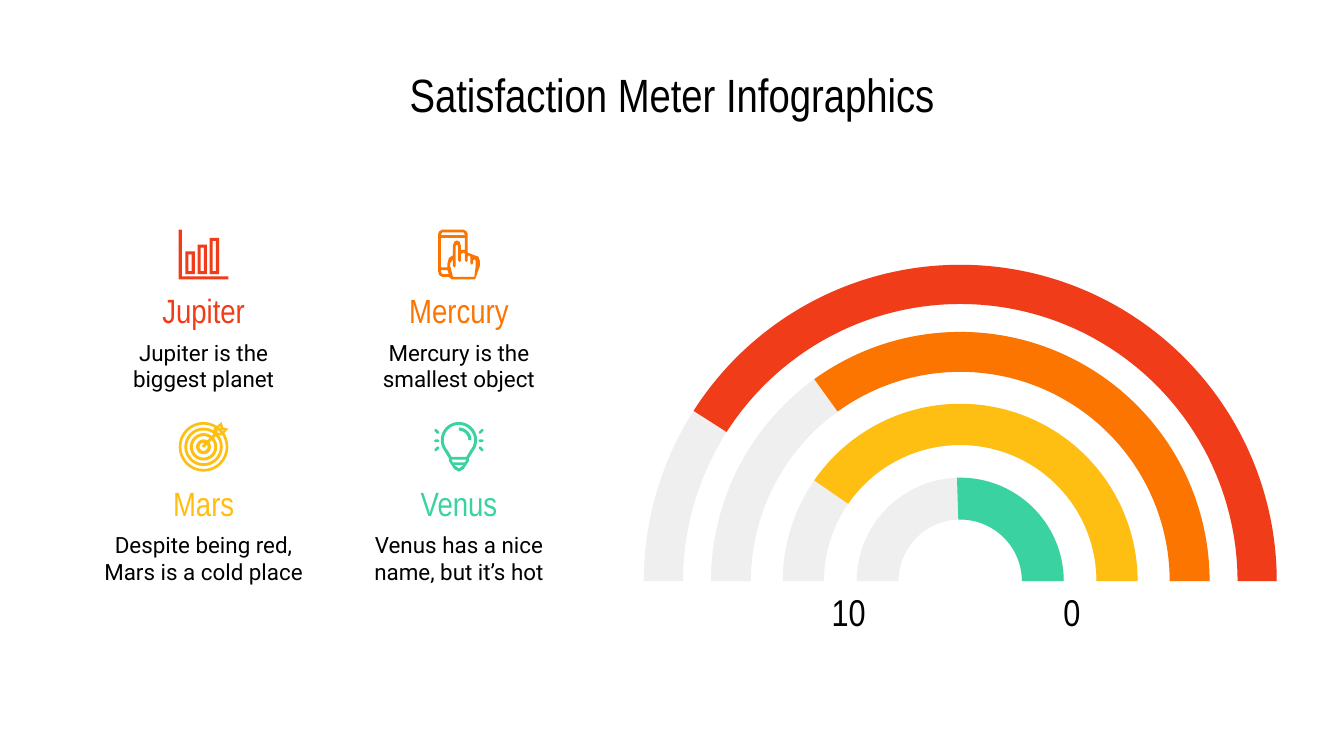
from dataclasses import dataclass
from math import cos, hypot, radians, sin

from pptx import Presentation
from pptx.dml.color import RGBColor
from pptx.enum.shapes import MSO_SHAPE
from pptx.enum.text import MSO_ANCHOR, PP_ALIGN
from pptx.util import Inches, Pt


@dataclass(frozen=True)
class Theme:
    black: str = "000000"
    track: str = "EFEFEF"
    red: str = "F13C19"
    orange: str = "FC7500"
    yellow: str = "FFBE12"
    green: str = "39D2A0"
    heading_font: str = "Arial Narrow"
    body_font: str = "Roboto"
    title_size: int = 25
    scale_size: int = 20
    heading_size: int = 18
    body_size: int = 12


def write_text(box, text, *, size, font, color, anchor=MSO_ANCHOR.TOP):
    frame = box.text_frame
    frame.word_wrap = True
    frame.vertical_anchor = anchor
    frame.margin_left = frame.margin_right = Inches(0.1)
    frame.margin_top = frame.margin_bottom = Inches(0.1)
    para = frame.paragraphs[0]
    para.alignment = PP_ALIGN.CENTER
    span = para.add_run()
    span.text = text
    span.font.size = Pt(size)
    span.font.name = font
    span.font.color.rgb = RGBColor.from_string(color)


class SlideBuilder:
    def __init__(self, page, theme):
        self.page = page
        self.theme = theme

    def title(self, text, left, top, width, height):
        box = self.page.shapes.title
        box.left, box.top = Inches(left), Inches(top)
        box.width, box.height = Inches(width), Inches(height)
        write_text(box, text, size=self.theme.title_size, font=self.theme.heading_font,
                   color=self.theme.black, anchor=MSO_ANCHOR.MIDDLE)

    def text(self, text, left, top, width, height, **style):
        box = self.page.shapes.add_textbox(
            Inches(left), Inches(top), Inches(width), Inches(height))
        write_text(box, text, **style)

    def paint(self, shape, color):
        shape.shadow.inherit = False
        shape.fill.solid()
        shape.fill.fore_color.rgb = RGBColor.from_string(color)
        shape.line.fill.background()

    def arc(self, center_x, center_y, size, angle, thickness, color):
        """Band from the given angle in degrees, clockwise to the right end."""
        shape = self.page.shapes.add_shape(
            MSO_SHAPE.BLOCK_ARC, Inches(center_x - size / 2),
            Inches(center_y - size / 2), Inches(size), Inches(size))
        shape.adjustments[0] = angle * 0.6
        shape.adjustments[1] = 0
        shape.adjustments[2] = thickness
        self.paint(shape, color)

    def outline(self, left, top, contours, color):
        """Filled contours in hundredths of an inch; inner ones cut holes."""
        builder = None
        for contour in contours:
            points = [(Inches(left + x / 100), Inches(top + y / 100)) for x, y in contour]
            if builder is None:
                builder = self.page.shapes.build_freeform(*points[0])
            else:
                builder.move_to(*points[0])
            builder.add_line_segments(points[1:], close=True)
        self.paint(builder.convert_to_shape(), color)


# Icon geometry, in hundredths of an inch
def arc_points(x, y, radius, start=0, end=360, steps=32):
    angles = [radians(start + (end - start) * i / steps) for i in range(steps + 1)]
    return [(x + radius * cos(a), y + radius * sin(a)) for a in angles]


def rectangle(left, top, right, bottom):
    return [(left, top), (right, top), (right, bottom), (left, bottom)]


def ray(x1, y1, x2, y2):
    length = hypot(x2 - x1, y2 - y1)
    dx, dy = (x2 - x1) / length, (y2 - y1) / length
    return [(x1 - dy, y1 + dx), (x1 - dx, y1 - dy), (x1 + dy, y1 - dx),
            (x2 + dy, y2 - dx), (x2 + dx, y2 + dy), (x2 - dy, y2 + dx)]


def chart_icon():
    bars = [[rectangle(x, y, x + 7, 33), rectangle(x + 2.3, y + 2.3, x + 4.7, 30.7)]
            for x, y in ((5, 16), (14, 11), (23, 6))]
    axes = [(0, 0), (2.3, 0), (2.3, 34.6), (37, 34.6), (37, 37), (0, 37)]
    return [*bars, [axes]]


def phone_icon():
    edge = [(6, 0), (22, 0), (24, 1), (25, 3), (25, 17), (30, 19), (33, 20), (34, 23),
            (34, 27), (31, 36), (30, 37), (13, 37), (11, 35), (6, 35), (4, 34), (3, 31),
            (3, 3), (4, 1)]
    speaker = [(6, 2), (22, 2), (23, 4), (5, 4)]
    screen = [(5, 6), (23, 6), (23, 15), (20, 15), (20, 12), (19, 9), (17, 8), (15, 9),
              (14, 12), (14, 19), (11, 21), (10, 25), (10, 28), (5, 28)]
    button = [(5, 30), (10, 30), (11, 33), (6, 33), (5, 31)]
    hand = [(17, 11), (18, 12), (18, 23), (19, 24), (20, 23), (20, 18), (22, 17),
            (23, 18), (23, 23), (24, 24), (25, 23), (25, 20), (26, 19), (27, 20),
            (27, 25), (28, 26), (29, 25), (29, 23), (30, 22), (31, 23), (31, 27),
            (30, 35), (14, 35), (12, 27), (12, 25), (14, 22), (14, 27), (15, 28),
            (16, 27), (16, 12)]
    return [[edge, speaker, screen, button, hand]]


def target_icon():
    rings = [arc_points(18.5, 18.5, radius)
             for radius in (18.5, 16.5, 14.3, 12.2, 10.2, 8, 5.5, 3)]
    arrow = [(32, 0), (33, 4), (37, 5), (32, 10), (28, 10), (19, 19), (17, 18),
             (26, 9), (26, 5)]
    feather = [(31, 3), (31, 6), (34, 6), (31, 8), (29, 8), (29, 5)]
    return [rings, [arrow, feather]]


def bulb_icon():
    x, y = 18.5, 13.5
    glass = arc_points(x, y, 13.5, 142, 398) + [
        (26, 27), (26, 29), (24, 32), (22, 35), (x, 37), (15, 35), (13, 32),
        (11, 29), (11, 27)]
    inside = arc_points(x, y, 11.3, 139, 401) + [(24, 26), (13, 26)]
    neck = [(13, 28), (24, 28), (23, 30), (14, 30)]
    base = [(15, 32), (22, 32), (x, 34.6)]
    glint = arc_points(x, y, 9.3, -90, 0) + arc_points(x, y, 7, 0, -90)
    rays = []
    for x1, y1, x2, y2 in ((1, 6, 3, 8), (1, 14, 3, 14), (1, 21, 3, 19)):
        rays += [[ray(x1, y1, x2, y2)], [ray(37 - x1, y1, 37 - x2, y2)]]
    return [[glint], [glass, inside, neck, base], *rays]


def main():
    theme = Theme()
    deck = Presentation()
    deck.slide_width = Inches(10)
    deck.slide_height = deck.slide_width * 9 // 16
    page = deck.slides.add_slide(deck.slide_layouts[5])
    builder = SlideBuilder(page, theme)
    builder.title("Satisfaction Meter Infographics", 0.5, 0.45, 9, 0.5)

    # Meter: a grey half ring under each coloured value
    outer_size = 4.71
    center_x, center_y = 4.79 + outer_size / 2, 1.97 + outer_size / 2
    for size, angle, thickness, color in (
            (outer_size, 212.57, 0.062, theme.red), (3.71, 234.15, 0.08, theme.orange),
            (2.64, 214.65, 0.116, theme.yellow), (1.54, 268.21, 0.202, theme.green)):
        builder.arc(center_x, center_y, size, 180, thickness, theme.track)
        builder.arc(center_x, center_y, size, angle, thickness, color)

    # Scale ends
    for label, left in (("10", 5.91), ("0", 7.57)):
        builder.text(label, left, 4.34, 0.81, 0.42, size=theme.scale_size,
                     font=theme.heading_font, color=theme.black, anchor=MSO_ANCHOR.MIDDLE)

    # Planets: two by two, each with icon, heading and description
    planets = (
        ("Jupiter", "Jupiter is the biggest planet", theme.red, chart_icon()),
        ("Mercury", "Mercury is the smallest object", theme.orange, phone_icon()),
        ("Mars", "Despite being red, Mars is a cold place", theme.yellow, target_icon()),
        ("Venus", "Venus has a nice name, but it’s hot", theme.green, bulb_icon()),
    )
    for index, (name, description, color, icon) in enumerate(planets):
        row, column = divmod(index, 2)
        left, top = 0.67 + 1.9 * column, 1.71 + 1.43 * row
        builder.text(name, left, top + 0.35, 1.69, 0.36, size=theme.heading_size,
                     font=theme.heading_font, color=color)
        builder.text(description, left, top + 0.71, 1.69, 0.55, size=theme.body_size,
                     font=theme.body_font, color=theme.black)
        for contours in icon:
            builder.outline(left + 0.66, top, contours, color)

    deck.save("out.pptx")


if __name__ == "__main__":
    main()
